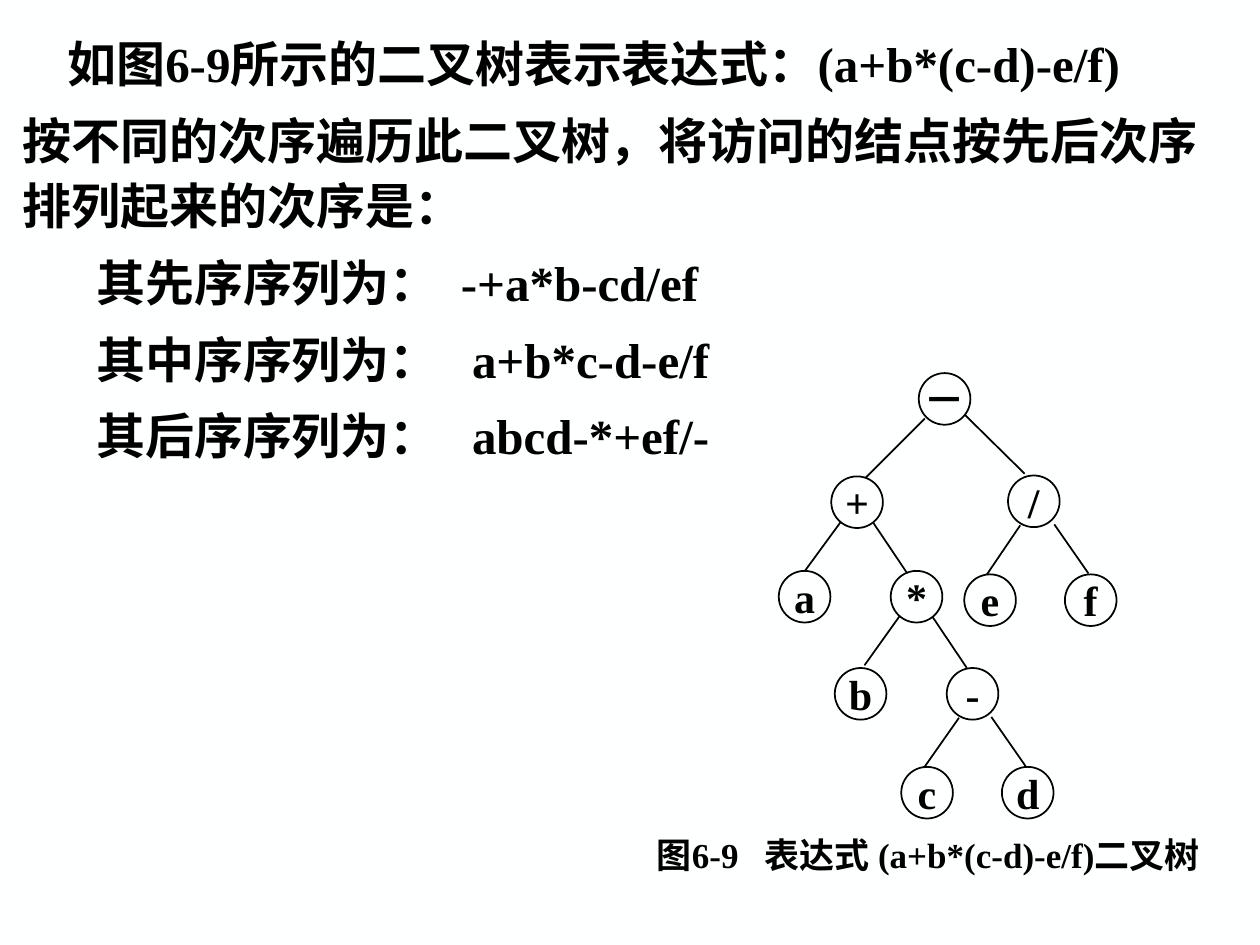
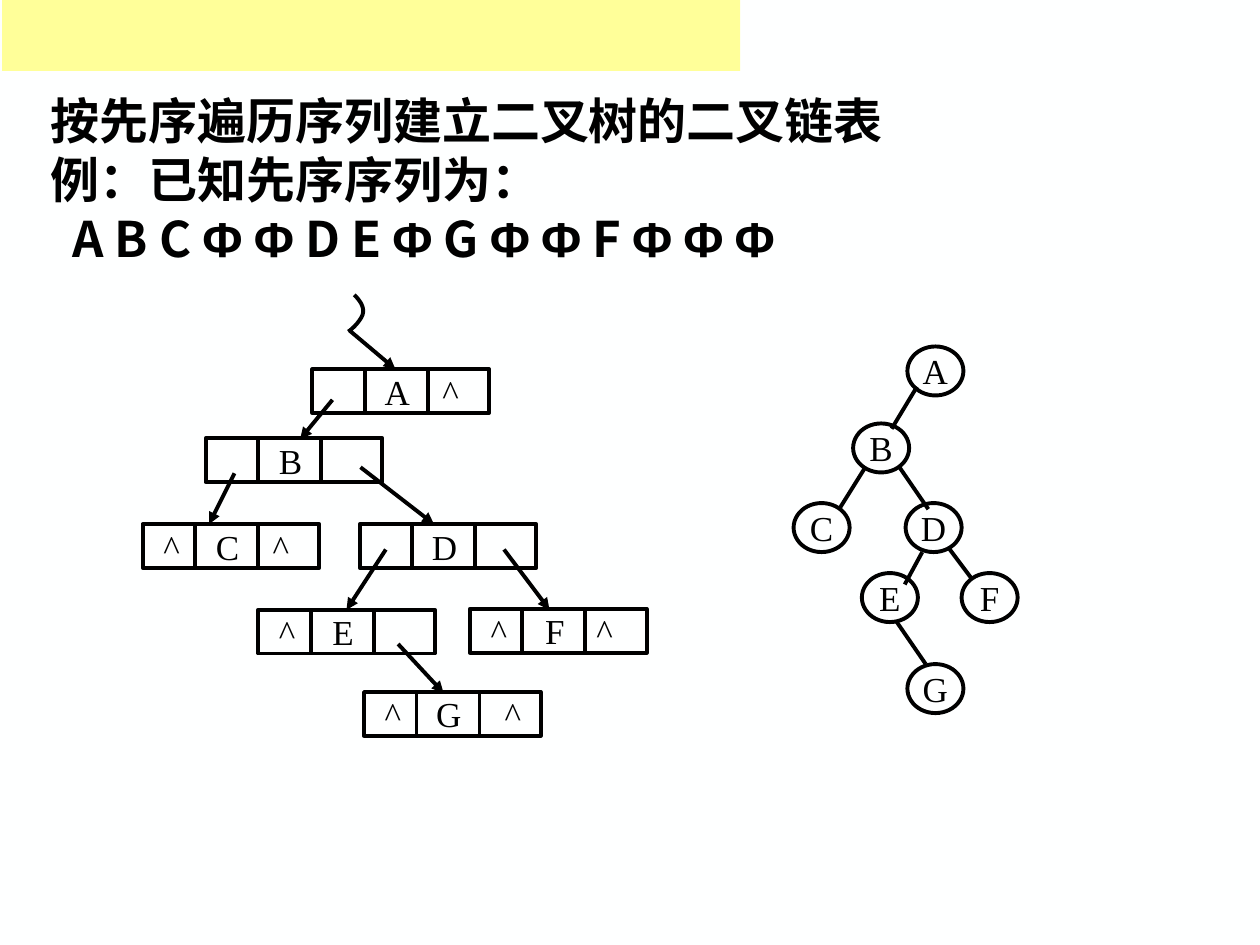
import itertools

import pptx
import pptx.dml.color
import pptx.enum.shapes
import pptx.enum.text
import pptx.oxml
import pptx.oxml.ns
import pptx.util

Pt = pptx.util.Pt
SHAPE = pptx.enum.shapes.MSO_SHAPE
ALIGN = pptx.enum.text.PP_ALIGN
ANCHOR = pptx.enum.text.MSO_ANCHOR
INK, PAPER, BAND = "000000", "FEFFFF", "FFFF99"
LATIN, CHINESE, SANS = "Times New Roman", "Noto Sans CJK SC", "Arial"

EXPRESSION_NODES = [
    ("－", 80, 0), ("+", 30, 59), ("/", 131, 58.5), ("a", 0, 113),
    ("*", 64, 113), ("e", 106, 115), ("f", 163.5, 115), ("b", 32, 168.5),
    ("-", 96, 168.5), ("c", 70, 225), ("d", 127.5, 225)]
EXPRESSION_LINKS = [
    (83.5, 26, 49.5, 60), (106.5, 24, 140.5, 57.5),
    (138, 87, 119, 115), (157.5, 86.5, 177, 114.5),
    (103, 197, 83, 225.5), (121.5, 196.5, 141, 224.5),
    (69, 139, 49, 167), (88, 139.5, 107.5, 168.5),
    (35.5, 85, 15, 113), (54, 85.5, 73.5, 114.5)]
LETTER_NODES = [
    ("A", 65, 0), ("B", 34, 44), ("C", 0, 89.5), ("D", 64, 89.5),
    ("E", 39, 129.5), ("F", 96, 129.5), ("G", 65, 181.5)]
LETTER_LINKS = [
    (70.5, 23, 56, 47), (41, 69, 26, 93), (60.5, 69, 77, 93),
    (73.5, 117.5, 63.5, 136), (88.5, 115, 102, 133), (59, 157.5, 75.5, 181.5)]
RECORDS = [
    ("A", 97, 42.5, [79]), ("B", 36, 82, []), ("C", 0, 131, [16.5, 79]),
    ("D", 124, 131, []), ("E", 66, 180, [16.5]),
    ("F", 187, 179.5, [16.5, 77]), ("G", 126.5, 227, [16.5, 85])]
POINTERS = [
    (119, 21, 144.5, 42.5), (108.5, 60, 90, 82.5), (52.5, 102, 38, 131),
    (124.5, 98.5, 166.5, 131), (206.5, 145.5, 232.5, 180),
    (146, 199.5, 172, 227.5)]
POINTER_TO_E = (139, 145.5, 116.5, 180)
HEAD_CURVES = [
    ((121, 0), (124, 3), (126.5, 6.5), (126, 10)),
    ((126, 10), (126, 13.5), (119.5, 20), (117.5, 21))]


def colour(value):
    return pptx.dml.color.RGBColor.from_string(value)


def add_element(parent, markup):
    namespace = pptx.oxml.ns.nsdecls("a")
    parent.append(pptx.oxml.parse_xml(markup.replace("/>", f" {namespace}/>")))


def write(para, spans, size, bold=False, align=ALIGN.LEFT, indent=0,
          before=0, spacing=1.0):
    properties = para._p.get_or_add_pPr()
    properties.set("marL", "0")
    properties.set("indent", str(Pt(indent)))
    add_element(properties, "<a:buNone/>")
    para.alignment = align
    para.line_spacing = spacing
    para.space_before = Pt(before)
    for text, font, *spread in spans:
        span = para.add_run()
        span.text = text
        span.font.name = font
        span.font.size = Pt(size)
        span.font.bold = bold
        span.font.color.rgb = colour(INK)
        run_properties = span._r.get_or_add_rPr()
        add_element(run_properties, f'<a:ea typeface="{CHINESE}"/>')
        if spread:
            run_properties.set("spc", str(round(spread[0] * 100)))


def set_frame(box, anchor=ANCHOR.TOP, wrap=True):
    frame = box.text_frame
    frame.auto_size = pptx.enum.text.MSO_AUTO_SIZE.NONE
    frame.word_wrap = wrap
    frame.vertical_anchor = anchor
    frame.margin_left = frame.margin_right = frame.margin_top = frame.margin_bottom = 0
    return frame


def place(box, left, top, width, height):
    box.left, box.top, box.width, box.height = map(Pt, (left, top, width, height))


def write_paragraphs(box, paragraphs, **shared):
    frame = set_frame(box)
    for index, (spans, options) in enumerate(paragraphs):
        para = frame.add_paragraph() if index else frame.paragraphs[0]
        write(para, spans, 28, bold=True, **{**shared, **options})


def outline(shape, weight):
    shape.shadow.inherit = False
    shape.fill.background()
    shape.line.color.rgb = colour(INK)
    shape.line.width = Pt(weight)


def add_outlined(page, kind, left, top, width, height, weight):
    shape = page.shapes.add_shape(kind, *map(Pt, (left, top, width, height)))
    outline(shape, weight)
    return shape


def add_label(page, left, top, width, height, spans, size, bold=False):
    box = page.shapes.add_textbox(*map(Pt, (left, top, width, height)))
    frame = set_frame(box, ANCHOR.MIDDLE)
    write(frame.paragraphs[0], spans, size, bold, ALIGN.CENTER)


def add_line(page, left, top, ends, weight, arrow=False):
    x1, y1, x2, y2 = ends
    line = page.shapes.add_connector(
        pptx.enum.shapes.MSO_CONNECTOR.STRAIGHT,
        Pt(left + x1), Pt(top + y1), Pt(left + x2), Pt(top + y2))
    line.line.color.rgb = colour(INK)
    line.line.width = Pt(weight)
    if arrow:
        add_element(line.line._get_or_add_ln(), '<a:tailEnd type="triangle"/>')
    add_element(line._element.spPr, "<a:effectLst/>")
    return line


def draw_tree(page, left, top, nodes, links, width, height, weight, size, bold):
    for label, x, y in nodes:
        node = add_outlined(page, SHAPE.OVAL, left + x, top + y, width, height, weight)
        frame = set_frame(node, ANCHOR.MIDDLE, wrap=False)
        write(frame.paragraphs[0], [(label, LATIN)], size, bold, ALIGN.CENTER)
    for ends in links:
        add_line(page, left, top, ends, weight)


def draw_record(page, left, top, letter, null_centres,
                width=101, height=25, weight=2.25):
    record = add_outlined(page, SHAPE.RECTANGLE, left, top, width, height, weight)
    frame = set_frame(record, ANCHOR.MIDDLE)
    frame.margin_right = Pt(4)
    write(frame.paragraphs[0], [(letter, LATIN)], 20, align=ALIGN.CENTER)
    for x in (30, 66):
        add_line(page, left, top, (x, 0, x, height), weight)
    for centre in null_centres:
        add_label(page, left + centre - 12, top, 24, height, [("^", LATIN)], 20)
    return record


def draw_head(page, left, top, steps=8):
    points = []
    for curve in HEAD_CURVES:
        for step in range(steps + 1):
            t = step / steps
            weights = ((1 - t) ** 3, 3 * t * (1 - t) ** 2, 3 * t * t * (1 - t), t ** 3)
            x, y = (sum(w * point[axis] for w, point in zip(weights, curve))
                    for axis in (0, 1))
            points.append((Pt(left + x), Pt(top + y)))
    builder = page.shapes.build_freeform(*points[0])
    builder.add_line_segments(points[1:], close=False)
    outline(builder.convert_to_shape(), 2.25)


def draw_linked_list(page, left, top):
    records = {letter: draw_record(page, left + x, top + y, letter, null_centres)
               for letter, x, y, null_centres in RECORDS}
    for ends in POINTERS:
        add_line(page, left, top, ends, 2.25, arrow=True)
    add_line(page, left, top, POINTER_TO_E, 2.25, arrow=True).end_connect(records["E"], 0)
    draw_head(page, left, top)


def build_traversal_page(deck):
    page = deck.slides.add_slide(deck.slide_layouts[1])
    title = page.shapes.title._element
    title.getparent().remove(title)
    body = page.placeholders[1]
    place(body, 13, 15.8, 693.5, 250)
    orders = [("其先序序列为：", "-+a*b-cd/ef", 6.3),
              ("其中序序列为：", "a+b*c-d-e/f", 12.6),
              ("其后序序列为：", "abcd-*+ef/-", 12.6)]
    paragraphs = [
        ([("如图", CHINESE), ("6-9", LATIN), ("所示的二叉树表示表达式：", CHINESE),
          ("(a+b*(c-d)-e/f)", LATIN)], {"indent": 25.5, "before": 0}),
        ([("按不同的次序遍历此二叉树，将访问的结点按先后次序排列起来的次序是：",
           CHINESE)], {})]
    paragraphs += [([(name, CHINESE), (" ", CHINESE, gap), (sequence, LATIN)],
                    {"indent": 42})
                   for name, sequence, gap in orders]
    write_paragraphs(body, paragraphs, before=7, spacing=1.1)
    draw_tree(page, 445, 213.2, EXPRESSION_NODES, EXPRESSION_LINKS,
              width=29.5, height=29.5, weight=1, size=24, bold=True)
    caption = [("图", SANS), ("6-9", LATIN), (" ", LATIN, 10), ("表达式 ", CHINESE),
               ("(a+b*(c-d)-e/f)二叉树", LATIN)]
    add_label(page, 355.5, 474.5, 350, 28, caption, 20, bold=True)


def build_linked_list_page(deck):
    page = deck.slides.add_slide(deck.slide_layouts[5])
    title = page.shapes.title
    place(title, 29, 52, 664.5, 101)
    sequence = [("".join(group), SANS if is_null else CHINESE)
                for is_null, group in itertools.groupby(
                    " A B C Φ Φ D E Φ G Φ Φ F Φ Φ Φ", lambda symbol: symbol == "Φ")]
    write_paragraphs(title, [
        ([("按先序遍历序列建立二叉树的二叉链表", CHINESE)], {}),
        ([("例：已知先序序列为：", CHINESE)], {}),
        (sequence, {"indent": 6})])
    draw_tree(page, 453.5, 198, LETTER_NODES, LETTER_LINKS,
              width=32, height=28, weight=2.25, size=20, bold=False)
    draw_linked_list(page, 81.5, 168.5)
    band = page.shapes.add_shape(SHAPE.RECTANGLE, *map(Pt, (1.2, 0, 421.8, 40.5)))
    band.shadow.inherit = False
    band.fill.solid()
    band.fill.fore_color.rgb = colour(BAND)
    band.line.fill.background()


def main():
    deck = pptx.Presentation()
    deck.slide_width, deck.slide_height = Pt(720), Pt(540)
    background = deck.slide_master.background.fill
    background.solid()
    background.fore_color.rgb = colour(PAPER)
    build_traversal_page(deck)
    build_linked_list_page(deck)
    deck.save("out.pptx")


if __name__ == "__main__":
    main()
